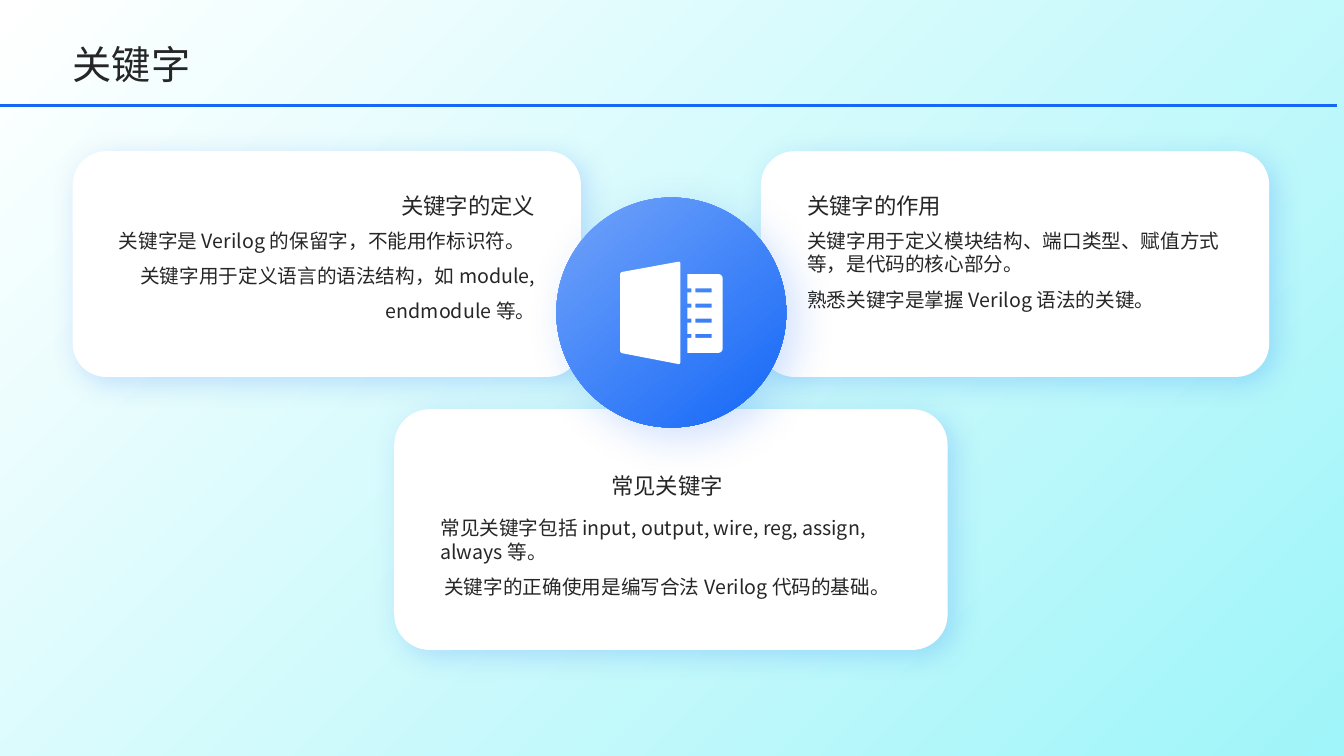
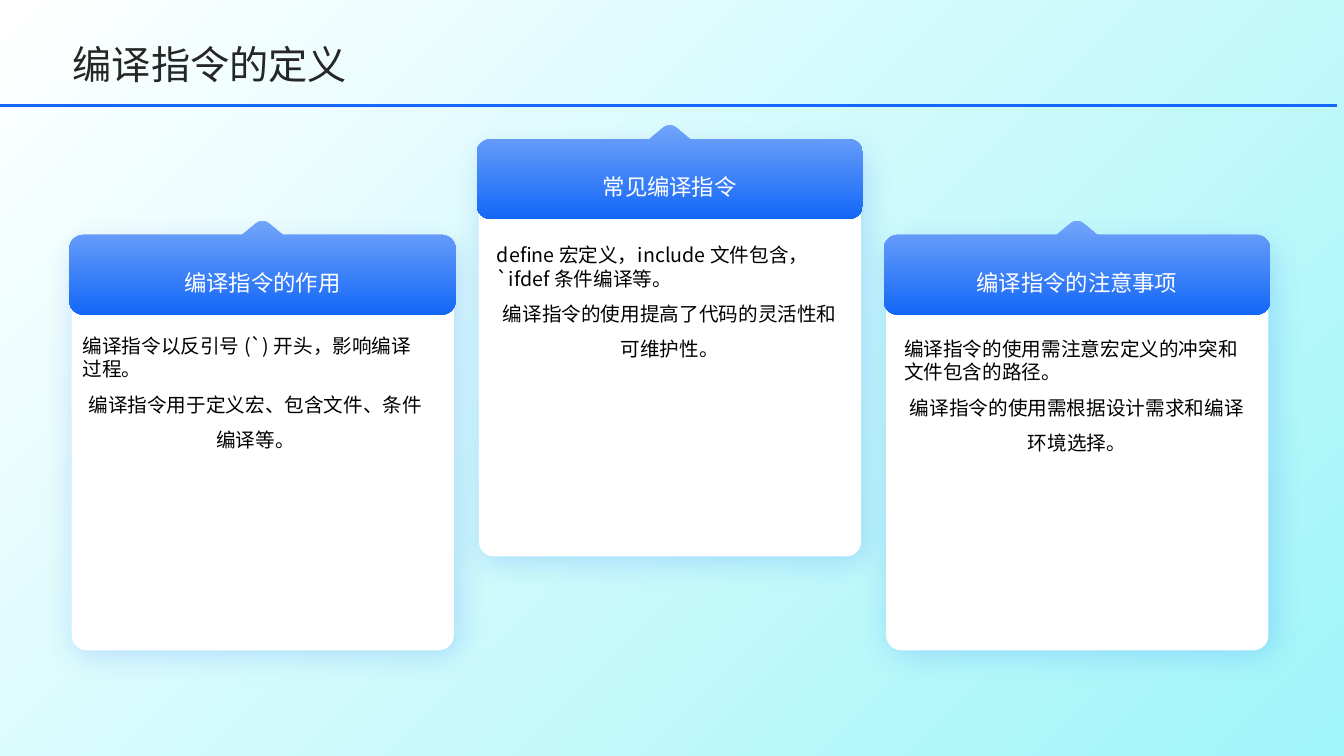
from lxml import etree
from pptx import Presentation
from pptx.dml.color import RGBColor
from pptx.enum import shapes, text
from pptx.oxml import ns
from pptx.util import Pt

WHITE = RGBColor(0xFF, 0xFF, 0xFF)
BLACK = RGBColor(0, 0, 0)
INK = RGBColor(0x26, 0x26, 0x26)
BLUE = RGBColor(0x14, 0x67, 0xF7)
SKY = RGBColor(0x72, 0xA4, 0xFA)
AQUA = RGBColor(0x9F, 0xF5, 0xF9)
FONT = "Noto Sans CJK SC"
WIDTH, HEIGHT = 960, 540
LEFT, CENTER, RIGHT = text.PP_ALIGN.LEFT, text.PP_ALIGN.CENTER, text.PP_ALIGN.RIGHT
MIDDLE, TOP = text.MSO_ANCHOR.MIDDLE, text.MSO_ANCHOR.TOP

KEYWORD_TITLE = "关键字"
KEYWORD_CARDS = [
    {"box": (52, 108, 363, 161.3), "text_width": 297.4, "align": RIGHT,
     "heading_top": 128.2, "body_top": 163.4, "heading": "关键字的定义",
     "body": ["关键字是 Verilog 的保留字，不能用作标识符。",
              "关键字用于定义语言的语法结构，如 module, endmodule 等。"]},
    {"box": (281.6, 292.3, 395.3, 172), "text_width": 324, "align": CENTER,
     "heading_top": 328.3, "body_top": 368.6, "heading": "常见关键字",
     "body": ["常见关键字包括 input, output, wire, reg, assign, always 等。",
              "关键字的正确使用是编写合法 Verilog 代码的基础。"]},
    {"box": (543.6, 108, 363, 161.3), "text_width": 297.4, "align": LEFT,
     "heading_top": 128.2, "body_top": 163.4, "heading": "关键字的作用",
     "body": ["关键字用于定义模块结构、端口类型、赋值方式等，是代码的核心部分。",
              "熟悉关键字是掌握 Verilog 语法的关键。"]},
]
DIRECTIVE_TITLE = "编译指令的定义"
DIRECTIVE_CARDS = [
    {"top": 173.5, "tab_top": 167.8, "body_at": (59, 238.3), "heading": "编译指令的作用",
     "body": ["编译指令以反引号 (`) 开头，影响编译过程。",
              "编译指令用于定义宏、包含文件、条件编译等。"]},
    {"top": 106.5, "tab_top": 99.4, "body_at": (355, 173.5), "heading": "常见编译指令",
     "body": ["define 宏定义，include 文件包含，`ifdef 条件编译等。",
              "编译指令的使用提高了代码的灵活性和可维护性。"]},
    {"top": 173.5, "tab_top": 167.8, "body_at": (645.8, 240.5), "heading": "编译指令的注意事项",
     "body": ["编译指令的使用需注意宏定义的冲突和文件包含的路径。",
              "编译指令的使用需根据设计需求和编译环境选择。"]},
]

TITLE_STYLE = {"size": Pt(28), "color": INK, "spacing": 1.1}
HEADING_STYLE = {"size": Pt(16), "color": INK, "spacing": 1.3}
BODY_STYLE = {"size": Pt(14), "color": INK, "spacing": 1.5}
TAB_STYLE = {"size": Pt(16), "color": WHITE, "spacing": 1.5}
PANEL_STYLE = {"size": Pt(14), "color": BLACK, "spacing": 1.5}
FRAME = {"word_wrap": True, "margin_left": 0, "margin_top": 0,
         "margin_right": 0, "margin_bottom": 0}


def points(values):
    return [Pt(value) for value in values]


def set_attributes(target, values):
    for name, value in values.items():
        setattr(target, name, value)


def paint(shape, fill, angle=None):
    shape.shadow.inherit = False
    shape.line.fill.background()
    if angle is None:
        shape.fill.solid()
        shape.fill.fore_color.rgb = fill
        return
    shape.fill.gradient()
    shape.fill.gradient_angle = 360 - angle
    for stop, color, position in zip(shape.fill.gradient_stops, fill, (0, 1)):
        stop.color.rgb = color
        stop.position = position


def add_shadow(shape, alpha, blur, distance):
    effects = shape._element.spPr.find(ns.qn("a:effectLst"))
    shadow = etree.SubElement(effects, ns.qn("a:outerShdw"), blurRad=str(Pt(blur)),
                              dist=str(Pt(distance)), dir="2700000", algn="tl",
                              rotWithShape="0")
    color = etree.SubElement(shadow, ns.qn("a:srgbClr"), val=str(BLUE))
    etree.SubElement(color, ns.qn("a:alpha"), val=str(alpha * 1000))


def add_preset(slide, kind, box, fill, angle=None, shadow=None, adjust=None):
    shape = slide.shapes.add_shape(kind, *points(box))
    paint(shape, fill, angle)
    if adjust is not None:
        shape.adjustments[0] = adjust
    if shadow:
        add_shadow(shape, *shadow)
    return shape


def add_text(slide, box, lines, style, align=LEFT, anchor=MIDDLE):
    frame = slide.shapes.add_textbox(*points(box)).text_frame
    set_attributes(frame, {**FRAME, "vertical_anchor": anchor})
    for index, line in enumerate(lines):
        paragraph = frame.paragraphs[0] if index == 0 else frame.add_paragraph()
        opening = index == 0 and len(lines) > 1
        set_attributes(paragraph, {"alignment": LEFT if opening else align,
                                   "line_spacing": 1.0 if opening else style["spacing"]})
        run = paragraph.add_run()
        run.text = line
        set_attributes(run.font, {"size": style["size"], "name": FONT})
        run.font.color.rgb = style["color"]
        etree.SubElement(run._r.get_or_add_rPr(), ns.qn("a:ea"), typeface=FONT)


def round_corners(corners, steps=8):
    outline = []
    for index, (x, y, radius) in enumerate(corners):
        if not radius:
            outline.append((x, y))
            continue
        ends = []
        for other_x, other_y, _ in (corners[index - 1], corners[(index + 1) % len(corners)]):
            length = ((other_x - x) ** 2 + (other_y - y) ** 2) ** 0.5
            ends.append((x + (other_x - x) * radius / length,
                         y + (other_y - y) * radius / length))
        start, end = ends
        controls = [[p + 0.55 * (c - p) for p, c in zip(point, (x, y))] for point in ends]
        for step in range(steps + 1):
            t = step / steps
            weights = ((1 - t) ** 3, 3 * t * (1 - t) ** 2, 3 * t * t * (1 - t), t ** 3)
            outline.append(tuple(sum(w * p[axis] for w, p in
                                     zip(weights, (start, *controls, end)))
                                 for axis in (0, 1)))
    return outline


def add_outline(slide, contours, fill, angle=None):
    builder = None
    for contour in contours:
        start, *rest = [points(point) for point in round_corners(contour)]
        if builder is None:
            builder = slide.shapes.build_freeform(*start)
        else:
            builder.move_to(*start)
        builder.add_line_segments(rest, close=True)
    paint(builder.convert_to_shape(), fill, angle)


def add_base(presentation, title):
    slide = presentation.slides.add_slide(presentation.slide_layouts[6])
    add_preset(slide, shapes.MSO_SHAPE.RECTANGLE, (0, 0, WIDTH, HEIGHT), (WHITE, AQUA), 45)
    add_text(slide, (52, 25.2, 840, 36.7), [title], TITLE_STYLE)
    rule = slide.shapes.add_connector(shapes.MSO_CONNECTOR.STRAIGHT,
                                      *points((0, 75.6, 954.7, 75.6)))
    rule.line.color.rgb = BLUE
    rule.line.width = Pt(2.25)
    etree.SubElement(rule._element.spPr, ns.qn("a:effectLst"))
    return slide


def add_icon(slide):
    bar = 2.9
    rows = [206 + 10.8 * row for row in range(4)]
    dashes = [[(496.8, y, 0), (496.8, y + bar, 0), (508.3, y + bar, 0), (508.3, y, 0)]
              for y in rows]
    page = [(491, 195.8, 0), (516.2, 195.8, 3), (516.2, 252, 3), (491, 252, 0)]
    for y in reversed(rows):
        page += [(491, y + bar, 0), (493.9, y + bar, 0), (493.9, y, 0), (491, y, 0)]
    cover = [(443, 194.5, 1.5), (486, 186.7, 1.5), (486, 260.3, 1.5), (443, 252, 1.5)]
    add_outline(slide, [*dashes, page, cover], WHITE)


def build_keywords(presentation):
    slide = add_base(presentation, KEYWORD_TITLE)
    for card in KEYWORD_CARDS:
        add_preset(slide, shapes.MSO_SHAPE.ROUNDED_RECTANGLE, card["box"], WHITE,
                   shadow=(20, 20, 6), adjust=0.148)
        left, width, align = card["box"][0] + 33, card["text_width"], card["align"]
        add_text(slide, (left, card["heading_top"], width, 31.7), [card["heading"]],
                 HEADING_STYLE, align)
        add_text(slide, (left, card["body_top"], width, 85), card["body"],
                 BODY_STYLE, align, TOP)
    add_preset(slide, shapes.MSO_SHAPE.OVAL, (397.4, 141.1, 164.2, 164.2), (SKY, BLUE), 50,
               shadow=(20, 30, 10))
    add_icon(slide)


def add_tab(slide, left, top, width=276, height=57, radius=10):
    right, bottom, middle = left + width, top + height, left + width / 2
    corners = [(left, top, radius), (middle - 14.4, top, 0), (middle, top - 12.3, 5.7),
               (middle + 14.4, top, 0), (right, top, radius),
               (right, bottom, radius), (left, bottom, radius)]
    add_outline(slide, [corners], (SKY, BLUE), 90)


def build_directives(presentation):
    slide = add_base(presentation, DIRECTIVE_TITLE)
    for column, card in enumerate(DIRECTIVE_CARDS):
        left, tab_top = 51.2 + 290.9 * column, card["tab_top"]
        add_preset(slide, shapes.MSO_SHAPE.ROUNDED_RECTANGLE, (left, card["top"], 273, 291),
                   WHITE, shadow=(22, 22, 3), adjust=0.039)
        add_tab(slide, left - 1.7, tab_top)
        add_text(slide, (left + 5.6, tab_top + 8.8, 261.4, 40.3), [card["heading"]],
                 TAB_STYLE, CENTER)
        add_text(slide, (*card["body_at"], 247, 203), card["body"], PANEL_STYLE, CENTER, TOP)


def main():
    presentation = Presentation()
    set_attributes(presentation, {"slide_width": Pt(WIDTH), "slide_height": Pt(HEIGHT)})
    build_keywords(presentation)
    build_directives(presentation)
    presentation.save("out.pptx")


if __name__ == "__main__":
    main()
